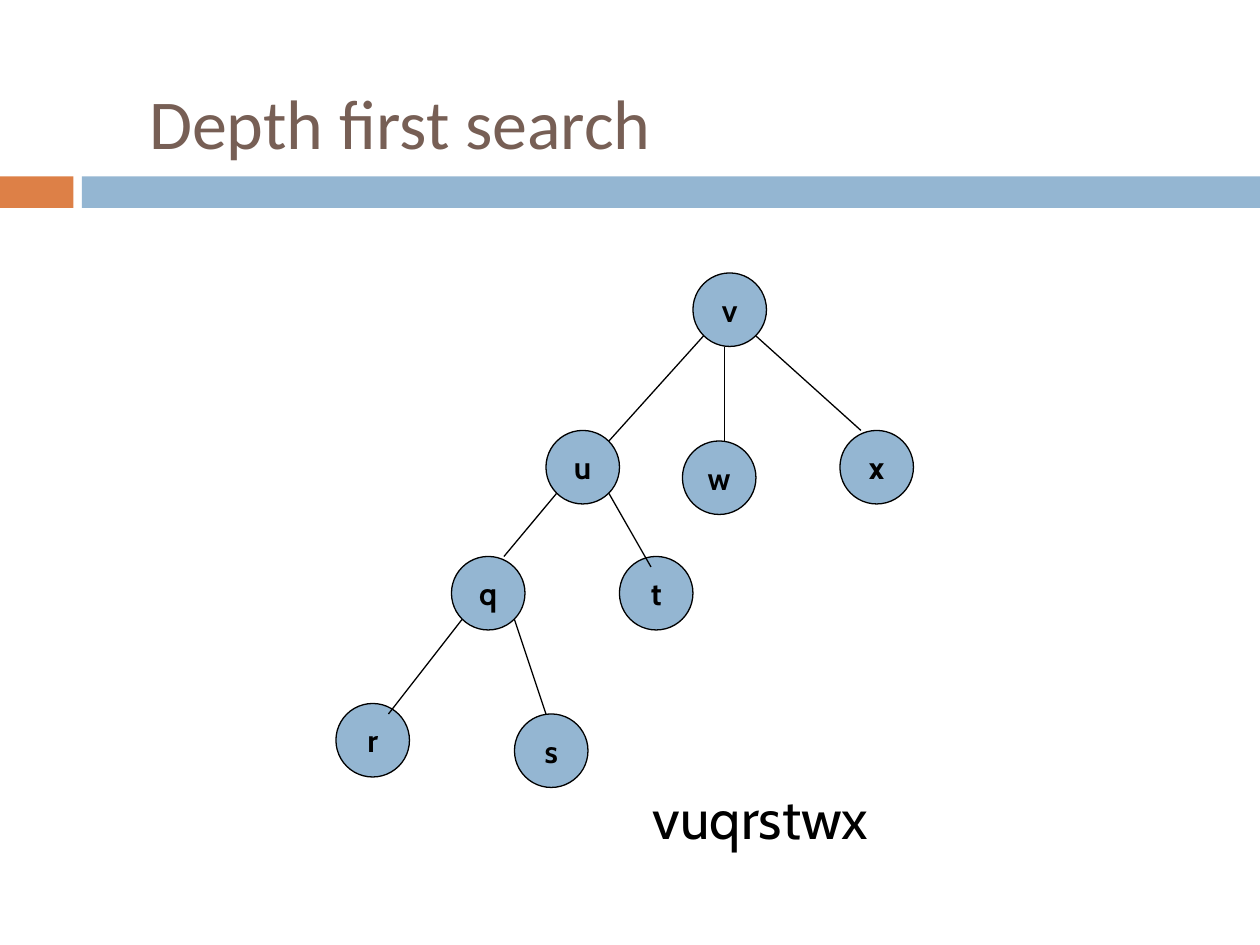
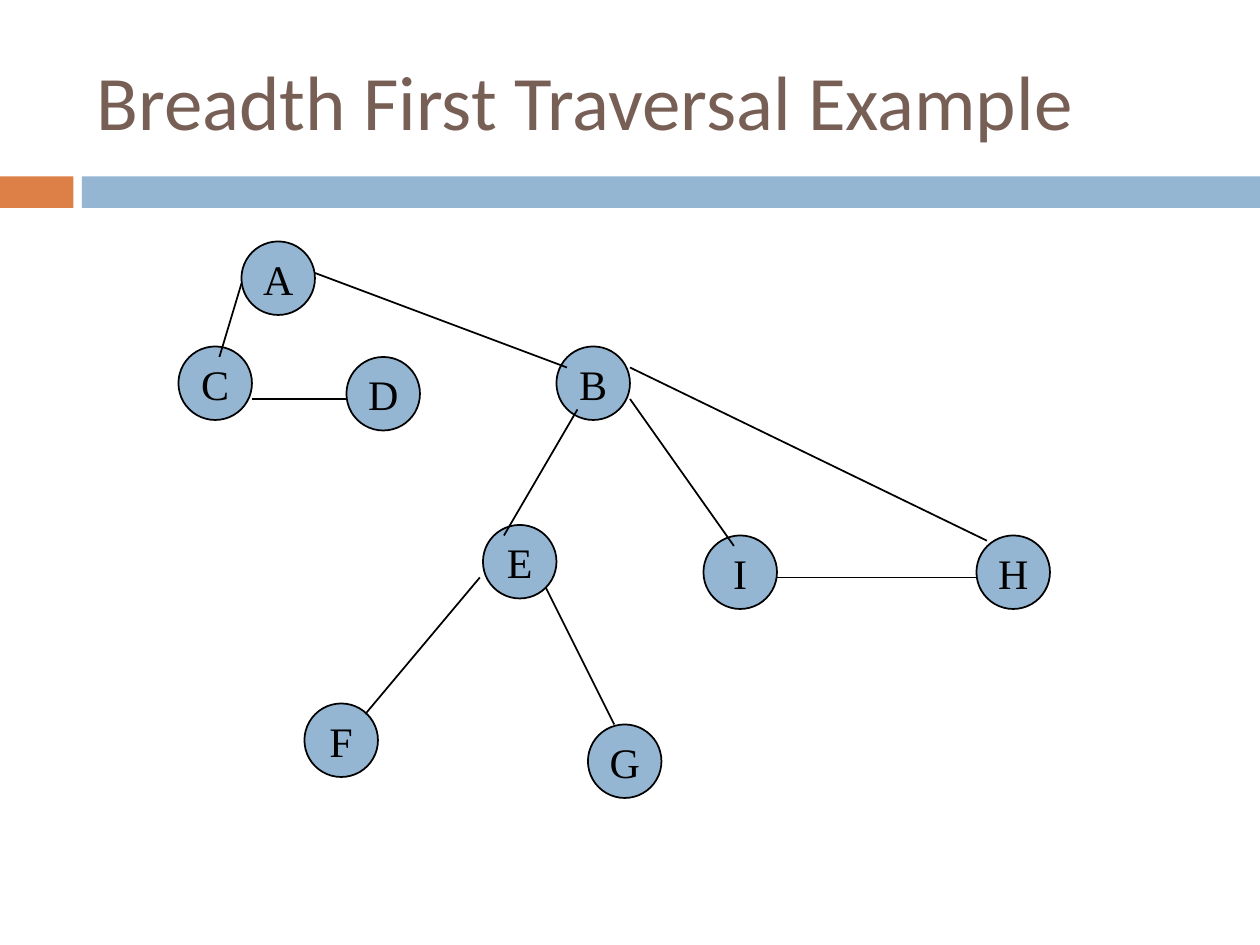
from typing import NamedTuple

from lxml import etree
from pptx import Presentation
from pptx.dml.color import RGBColor
from pptx.enum.shapes import MSO_CONNECTOR, MSO_SHAPE
from pptx.enum.text import MSO_ANCHOR, MSO_AUTO_SIZE, PP_ALIGN
from pptx.oxml.ns import qn
from pptx.util import Cm, Pt

OVAL, RECT = MSO_SHAPE.OVAL, MSO_SHAPE.RECTANGLE
LINE = MSO_CONNECTOR.STRAIGHT
LEFT, CENTER = PP_ALIGN.LEFT, PP_ALIGN.CENTER
TOP, MIDDLE = MSO_ANCHOR.TOP, MSO_ANCHOR.MIDDLE
FIXED = MSO_AUTO_SIZE.NONE

COLORS = {"title": "775F55", "blue": "94B6D2", "orange": "DD8047", "black": "000000"}
WIDE, HIGH = 120, 90  # the slide measured in grid steps
STEP = 25.4 / WIDE
NODE = 7


class Node(NamedTuple):
    name: str
    x: float
    y: float


class Edge(NamedTuple):
    x1: float
    y1: float
    x2: float
    y2: float


class Style(NamedTuple):
    font: str
    size: int
    bold: bool
    line: float


class Box(NamedTuple):
    x: float
    y: float
    w: float
    h: float


class Band(NamedTuple):
    box: Box
    color: str


BANDS = [
    Band(Box(0, 16.8, 7, 3), "orange"),
    Band(Box(7.8, 16.8, WIDE - 7.8, 3), "blue"),
]

DEPTH = Style("Cabin", 18, True, 0.75)
DEPTH_NODES = [
    Node("v", 66, 26), Node("w", 65, 42), Node("x", 80, 41), Node("s", 49, 68),
    Node("q", 43, 53), Node("t", 59, 53), Node("r", 32, 67), Node("u", 52, 41),
]
DEPTH_EDGES = [
    Edge(67, 32, 58, 42), Edge(69, 33, 69, 42), Edge(72, 32, 82, 41),
    Edge(53, 47, 48, 53), Edge(44, 59, 37, 68), Edge(58, 47, 62, 54),
    Edge(49, 59, 52, 68),
]

BREADTH = Style("Times New Roman", 24, False, 1)
BREADTH_NODES = [
    Node("A", 23, 23), Node("C", 17, 33), Node("D", 33, 34),
    Node("B", 53, 33), Node("E", 46, 50), Node("F", 29, 67),
    Node("G", 56, 69), Node("I", 67, 51), Node("H", 93, 51),
]
BREADTH_EDGES = [
    Edge(23, 27, 20.9, 34), Edge(24, 38, 33, 38), Edge(30, 26, 54, 35),
    Edge(55, 39, 48, 51), Edge(45.7, 55, 34.8, 68), Edge(52, 56, 58.5, 69),
    Edge(60, 38, 69.9, 52), Edge(60, 35, 94, 51.5), Edge(74, 55, 93, 55),
]


def grid(*steps: float) -> list[Cm]:
    return [Cm(n * STEP) for n in steps]


def color(name: str) -> RGBColor:
    return RGBColor.from_string(COLORS[name])


def write(shape, text: str, *, font: str, size: int, tint: str = "black",
          bold: bool = False, align=LEFT, anchor=MIDDLE, wrap: bool = True) -> None:
    frame = shape.text_frame
    frame.auto_size = FIXED
    frame.word_wrap = wrap
    frame.vertical_anchor = anchor
    para = frame.paragraphs[0]
    para.text = text
    para.alignment = align
    para.font.name = font
    para.font.size = Pt(size)
    para.font.bold = bold
    para.font.color.rgb = color(tint)


def draw(slide, kind, box: Box, fill: str, line: float = 0):
    """Add a filled shape, outlined in black if a line width is given."""
    shape = slide.shapes.add_shape(kind, *grid(*box))
    shape.shadow.inherit = False
    shape.fill.solid()
    shape.fill.fore_color.rgb = color(fill)
    if line:
        shape.line.color.rgb = color("black")
        shape.line.width = Pt(line)
    else:
        shape.line.fill.background()
    return shape


def start(deck, title: str, box: Box, size: int):
    """Add a slide with its bands and title."""
    slide = deck.slides.add_slide(deck.slide_layouts[5])
    for band in BANDS:
        draw(slide, RECT, band.box, band.color)
    head = slide.shapes.title
    head.left, head.top, head.width, head.height = grid(*box)
    write(head, title, font="Calibri", size=size, tint="title")
    return slide


def graph(slide, nodes: list[Node], edges: list[Edge], style: Style) -> None:
    for node in nodes:
        disc = draw(slide, OVAL, Box(node.x, node.y, NODE, NODE), "blue", style.line)
        write(disc, node.name, font=style.font, size=style.size,
              bold=style.bold, align=CENTER, wrap=False)
    for edge in edges:
        link = slide.shapes.add_connector(LINE, *grid(*edge))
        link.line.color.rgb = color("black")
        link.line.width = Pt(style.line)
        etree.SubElement(link._element.spPr, qn("a:effectLst"))


def main() -> None:
    deck = Presentation()
    deck.slide_width, deck.slide_height = grid(WIDE, HIGH)

    depth = start(deck, "Depth first search", Box(13, 7, 71, 9.2), 40)
    graph(depth, DEPTH_NODES, DEPTH_EDGES, DEPTH)
    order = depth.shapes.add_textbox(*grid(61, 74, 50, 7.6))
    write(order, "vuqrstwx", font="Cabin", size=32, anchor=TOP)

    breadth = start(deck, "Breadth First Traversal Example", Box(8, 3, 107, 13), 44)
    graph(breadth, BREADTH_NODES, BREADTH_EDGES, BREADTH)

    deck.save("out.pptx")


if __name__ == "__main__":
    main()
